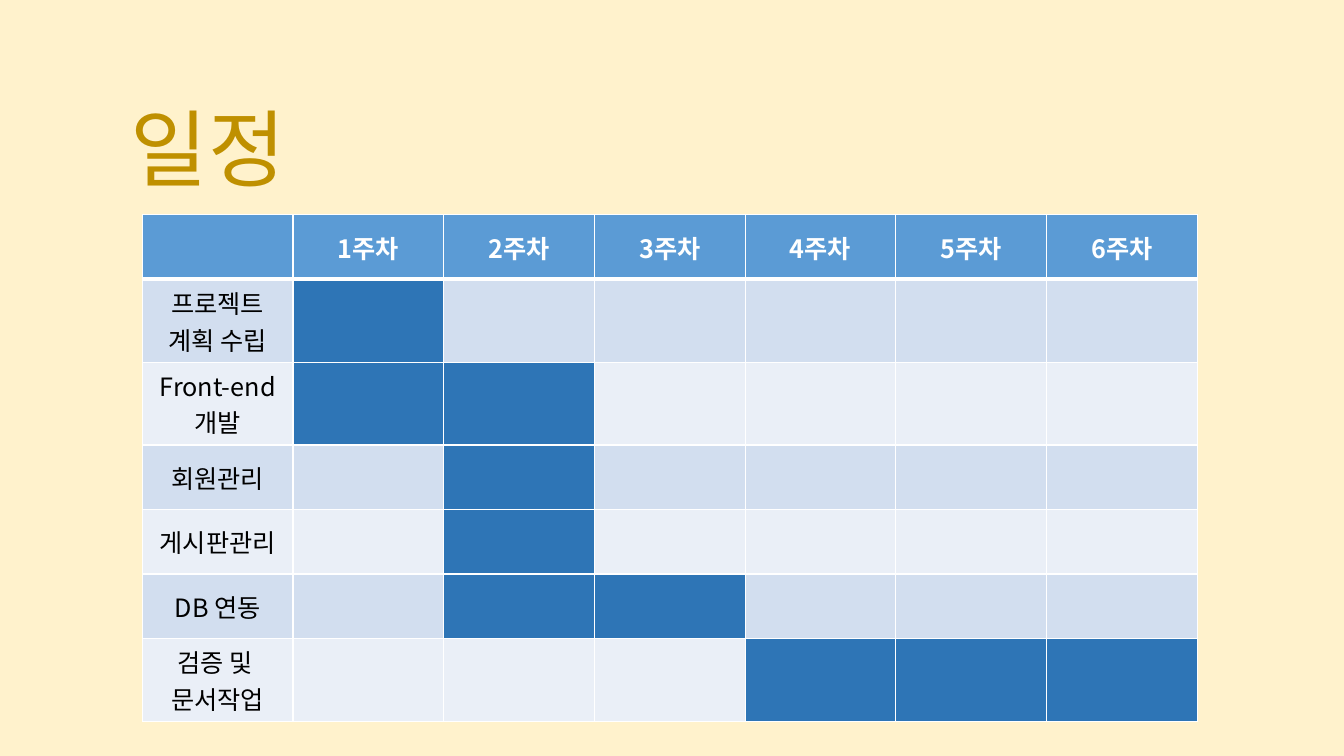
from dataclasses import dataclass

from lxml.etree import SubElement
from pptx import Presentation
from pptx.dml.color import RGBColor as Rgb
from pptx.enum.text import MSO_ANCHOR as Anchor, PP_ALIGN as Align
from pptx.oxml.ns import qn
from pptx.util import Pt


@dataclass(frozen=True)
class Theme:
    font: str = "Noto Sans CJK KR"
    background: str = "FFF2CC"
    title: str = "BF9000"
    header: str = "5B9BD5"
    bands: tuple = ("D2DEEF", "EAEFF7")
    bar: str = "2E75B6"
    white: str = "FFFFFF"
    black: str = "000000"
    title_size: int = 60
    table_size: int = 18
    thin: int = 1
    thick: int = 3


THEME = Theme()
WEEKS = 6
# Task, lines its label takes, first week, last week
TASKS = [
    ("프로젝트 계획 수립", 2, 1, 1),
    ("Front-end 개발", 2, 1, 2),
    ("회원관리", 1, 2, 2),
    ("게시판관리", 1, 2, 2),
    ("DB 연동", 1, 2, 3),
    ("검증 및 \n문서작업", 2, 4, 6),
]
# Row height by number of lines
ROW_HEIGHTS = {1: 46.1, 2: 59.2}


def write_text(frame, text, *, size, color, bold=False, align=Align.LEFT, spacing=1.0):
    """Fill a text frame, one paragraph for each line of the text."""
    frame.text = text
    for paragraph in frame.paragraphs:
        paragraph.alignment = align
        paragraph.line_spacing = spacing
        for run in paragraph.runs:
            font = run.font
            font.name, font.size, font.bold = THEME.font, Pt(size), bold
            font.color.rgb = Rgb.from_string(color)
            SubElement(run._r.get_or_add_rPr(), qn("a:ea"), typeface=THEME.font)


def paint_cell(cell, color, top, bottom):
    """Set the white borders, then the fill, which must follow them in the XML."""
    properties = cell._tc.get_or_add_tcPr()
    widths = {"lnL": THEME.thin, "lnR": THEME.thin, "lnT": top, "lnB": bottom}
    for side, width in widths.items():
        line = SubElement(properties, qn(f"a:{side}"), w=str(Pt(width)))
        fill = SubElement(line, qn("a:solidFill"))
        SubElement(fill, qn("a:srgbClr"), val=THEME.white)
    cell.fill.solid()
    cell.fill.fore_color.rgb = Rgb.from_string(color)


def add_title(slide, text, left, top, width, height):
    box = slide.shapes.add_textbox(Pt(left), Pt(top), Pt(width), Pt(height))
    frame = box.text_frame
    frame.word_wrap = True
    frame.vertical_anchor = Anchor.BOTTOM
    write_text(frame, text, size=THEME.title_size, color=THEME.title, spacing=0.9)


def add_schedule(slide, left, top, width):
    heights = [ROW_HEIGHTS[1]] + [ROW_HEIGHTS[lines] for _, lines, _, _ in TASKS]
    column_count = WEEKS + 1
    table = slide.shapes.add_table(
        len(heights), column_count, Pt(left), Pt(top), Pt(width), Pt(sum(heights))
    ).table
    for table_row, height in zip(table.rows, heights):
        table_row.height = Pt(height)

    def fill_cell(row, column, text, color, text_color, bold=False):
        cell = table.cell(row, column)
        paint_cell(
            cell,
            color,
            top=THEME.thick if row == 1 else THEME.thin,
            bottom=THEME.thick if row == 0 else THEME.thin,
        )
        cell.vertical_anchor = Anchor.MIDDLE
        write_text(cell.text_frame, text, size=THEME.table_size, color=text_color,
                   bold=bold, align=Align.CENTER)

    for week in range(column_count):
        label = f"{week}주차" if week else ""
        fill_cell(0, week, label, THEME.header, THEME.white, bold=True)
    for row, (task, _, first, last) in enumerate(TASKS, start=1):
        band = THEME.bands[(row - 1) % 2]
        for week in range(column_count):
            color = THEME.bar if first <= week <= last else band
            fill_cell(row, week, "" if week else task, color, THEME.black)


def main():
    presentation = Presentation()
    presentation.slide_width, presentation.slide_height = Pt(960), Pt(540)
    slide = presentation.slides.add_slide(presentation.slide_layouts[6])
    background = slide.background.fill
    background.solid()
    background.fore_color.rgb = Rgb.from_string(THEME.background)
    add_title(slide, "일정", left=86.4, top=65.5, width=720, height=80)
    add_schedule(slide, left=101.7, top=153.4, width=753.5)
    presentation.save("out.pptx")


if __name__ == "__main__":
    main()
